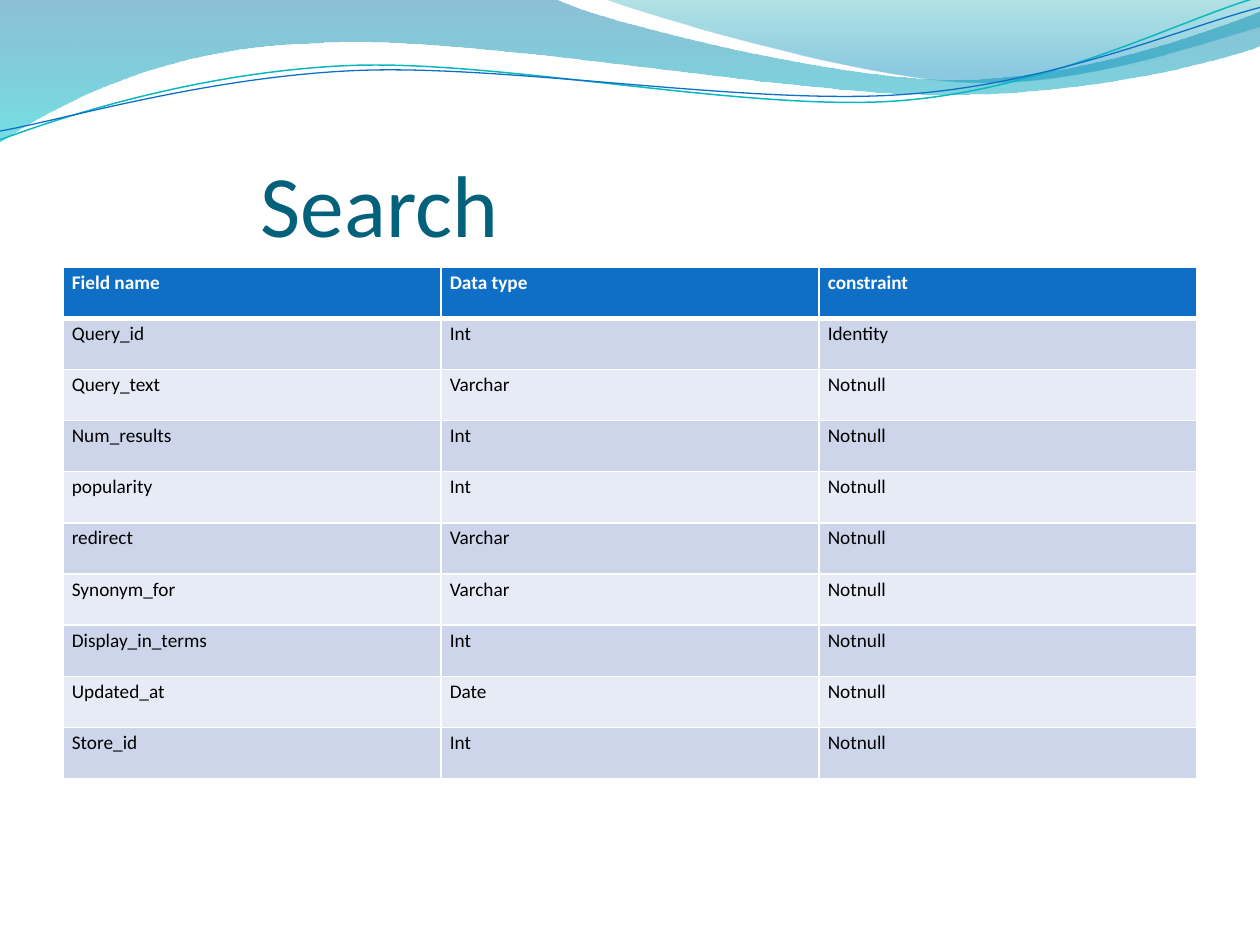
from math import cos, radians, sin

from lxml.etree import SubElement
from pptx import Presentation
from pptx.dml.color import RGBColor
from pptx.enum.text import MSO_ANCHOR
from pptx.oxml.ns import qn
from pptx.util import Inches, Pt

FONT = "Calibri"
COLORS = {
    "title": "04617B", "header": "0F6FC6", "odd": "CCD5EA", "even": "E7EBF5",
    "white": "FFFFFF", "black": "000000",
    "teal line": "0AB8BF", "blue line": "0F6FC6",
    "sea": "0074A1", "aqua": "00C6CF", "green": "00A1A9", "sky": "008BBF",
}
TITLE = "Search"
ROWS = [
    ("Field name", "Data type", "constraint"),
    ("Query_id", "Int", "Identity"),
    ("Query_text", "Varchar", "Notnull"),
    ("Num_results", "Int", "Notnull"),
    ("popularity", "Int", "Notnull"),
    ("redirect", "Varchar", "Notnull"),
    ("Synonym_for", "Varchar", "Notnull"),
    ("Display_in_terms", "Int", "Notnull"),
    ("Updated_at", "Date", "Notnull"),
    ("Store_id", "Int", "Notnull"),
]

# A step of one point is a straight line; three points are a Bezier curve.
# Gradient stops: position, colour, opacity in percent.
BANDS = [
    {"start": (0, 0),
     "steps": [[(4.4, -0.01)],
               [(4.76, 0.17), (6.64, 0.63), (7.58, 0.63)],
               [(8.53, 0.63), (9.58, 0.26), (10, 0.09)],
               [(10.01, 0.36)],
               [(9.83, 0.44), (8.7, 0.76), (7.46, 0.75)],
               [(6.22, 0.75), (3.82, 0.28), (2.57, 0.34)],
               [(1.29, 0.36), (0.46, 0.83), (-0.01, 1.13)],
               [(0, 0)]],
     "stops": [(0, "sea", 45), (1, "aqua", 55)]},
    {"start": (4.79, -0.01),
     "steps": [[(5.09, 0.11), (6.82, 0.62), (7.69, 0.65)],
               [(8.56, 0.69), (9.61, 0.32), (10, 0.21)],
               [(10, 0)],
               [(4.79, -0.01)]],
     "stops": [(0, "green", 30), (0.8, "sky", 45)]},
]
WAVE_TILT = 2.7
WAVES = [
    {"start": (0, 1.11),
     "steps": [[(0.48, 0.93), (1.58, 0.57), (2.77, 0.52)],
               [(3.95, 0.47), (5.93, 0.89), (7.13, 0.8)],
               [(8.33, 0.71), (9.38, 0.15), (9.98, -0.02)]],
     "center": (4.99, 0.58), "color": "teal line", "width": 0.85},
    {"start": (0, 1.04),
     "steps": [[(0.47, 0.96), (1.64, 0.61), (2.83, 0.56)],
               [(4.03, 0.51), (5.97, 0.84), (7.17, 0.75)],
               [(8.36, 0.67), (9.41, 0.21), (10, 0.06)]],
     "center": (5, 0.59), "color": "blue line", "width": 0.75},
]


def rgb(name):
    return RGBColor.from_string(COLORS[name])


def set_attributes(target, values):
    for name, value in values.items():
        setattr(target, name, value)


def add_outline(slide, start, steps, close):
    """Draw a freeform through all points, then join each three into a curve."""
    points = [(Inches(x), Inches(y)) for step in steps for x, y in step]
    builder = slide.shapes.build_freeform(Inches(start[0]), Inches(start[1]))
    builder.add_line_segments(points, close=close)
    shape = builder.convert_to_shape()
    shape.shadow.inherit = False
    lines = iter(list(shape._element.iter(qn("a:lnTo"))))
    for step in steps:
        first, *others = [next(lines) for _ in step]
        if others:
            first.tag = qn("a:cubicBezTo")
        for line in others:
            first.append(line[0])
            line.getparent().remove(line)
    return shape


def add_band(slide, start, steps, stops):
    shape = add_outline(slide, start, steps, close=True)
    shape.line.fill.background()
    shape.fill.gradient()
    shape.fill.gradient_angle = 270
    for stop, (position, color, _) in zip(shape.fill.gradient_stops, stops):
        stop.position = position
        stop.color.rgb = rgb(color)
    for element, (_, _, opacity) in zip(shape._element.iter(qn("a:srgbClr")), stops):
        SubElement(element, qn("a:alpha"), val=str(opacity * 1000))


def turn(point, center):
    """Turn a point clockwise by the tilt of the waves."""
    x, y = point[0] - center[0], point[1] - center[1]
    cosine, sine = cos(radians(WAVE_TILT)), sin(radians(WAVE_TILT))
    return center[0] + x * cosine - y * sine, center[1] + x * sine + y * cosine


def add_wave(slide, start, steps, center, color, width):
    level_steps = [[turn(point, center) for point in step] for step in steps]
    shape = add_outline(slide, turn(start, center), level_steps, close=False)
    shape.rotation = -WAVE_TILT
    shape.fill.background()
    shape.line.color.rgb = rgb(color)
    shape.line.width = Pt(width)


def write(paragraph, text, color, **font_values):
    run = paragraph.add_run()
    run.text = text
    set_attributes(run.font, {"name": FONT, **font_values})
    run.font.color.rgb = rgb(color)


def add_title(slide):
    frame = slide.shapes.add_textbox(Inches(0.5), Inches(0.77), Inches(9), Inches(1.25)).text_frame
    set_attributes(frame, {
        "word_wrap": True, "vertical_anchor": MSO_ANCHOR.BOTTOM,
        "margin_left": Inches(1.57), "margin_right": 0,
        "margin_top": Inches(0.05), "margin_bottom": 0,
    })
    write(frame.paragraphs[0], TITLE, "title", size=Pt(50))


def set_borders(cell, widths):
    properties = cell._tc.get_or_add_tcPr()
    for side, width in widths.items():
        line = SubElement(properties, qn(f"a:ln{side}"), w=str(Pt(width)))
        fill = SubElement(line, qn("a:solidFill"))
        SubElement(fill, qn("a:srgbClr"), val=COLORS["white"])


def add_field_table(slide):
    table = slide.shapes.add_table(len(ROWS), len(ROWS[0]), Inches(0.5), Inches(2.12),
                                   Inches(9), Inches(4.06)).table
    for row, texts in enumerate(ROWS):
        header = row == 0
        background = "header" if header else ("even", "odd")[row % 2]
        widths = {"L": 1, "R": 1, "T": 3 if row == 1 else 1, "B": 3 if header else 1}
        for column, text in enumerate(texts):
            cell = table.cell(row, column)
            set_attributes(cell, {"margin_left": Inches(0.07), "margin_right": Inches(0.07),
                                  "margin_top": 0, "margin_bottom": 0})
            set_borders(cell, widths)
            cell.fill.solid()
            cell.fill.fore_color.rgb = rgb(background)
            paragraph = cell.text_frame.paragraphs[0]
            paragraph.line_spacing = 1.15
            write(paragraph, text, "white" if header else "black", size=Pt(11), bold=header)


def main():
    presentation = Presentation()
    set_attributes(presentation, {"slide_width": Inches(10), "slide_height": Inches(7.5)})
    slide = presentation.slides.add_slide(presentation.slide_layouts[6])
    for band in BANDS:
        add_band(slide, **band)
    for wave in WAVES:
        add_wave(slide, **wave)
    add_title(slide)
    add_field_table(slide)
    presentation.save("out.pptx")


if __name__ == "__main__":
    main()
